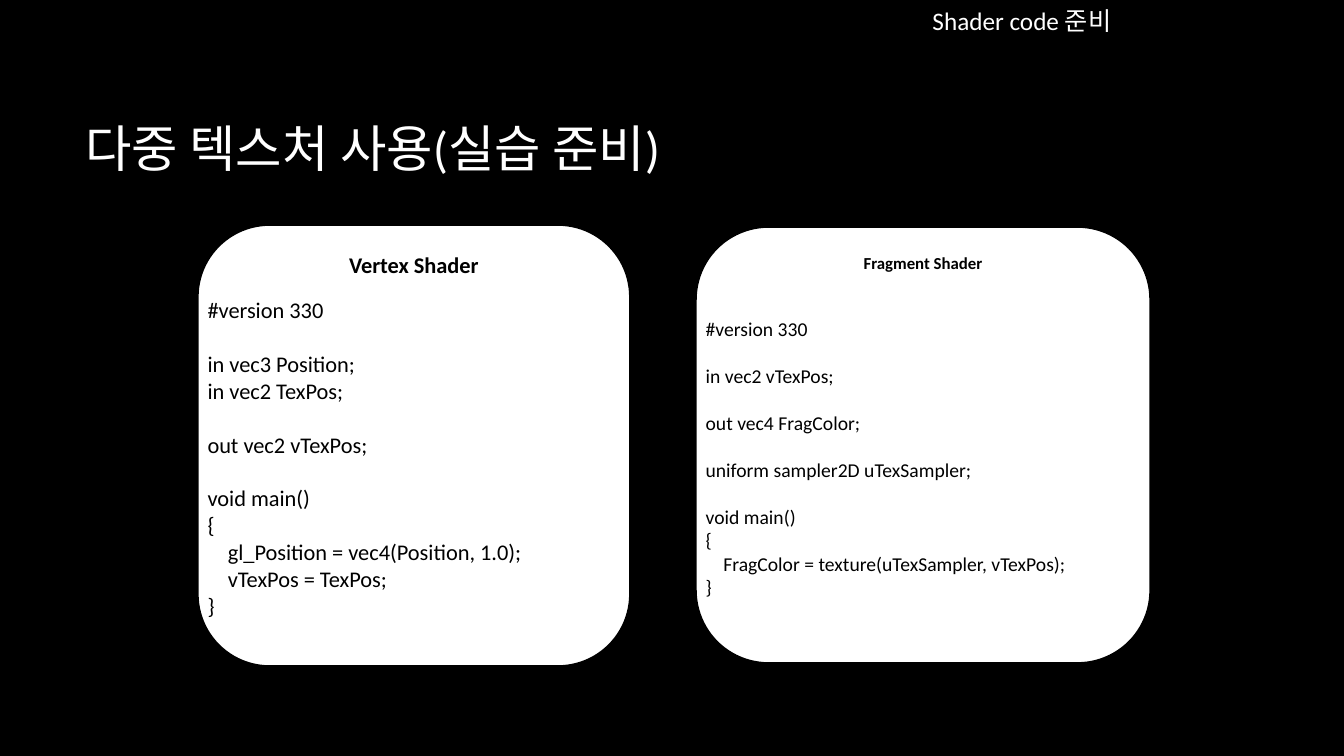
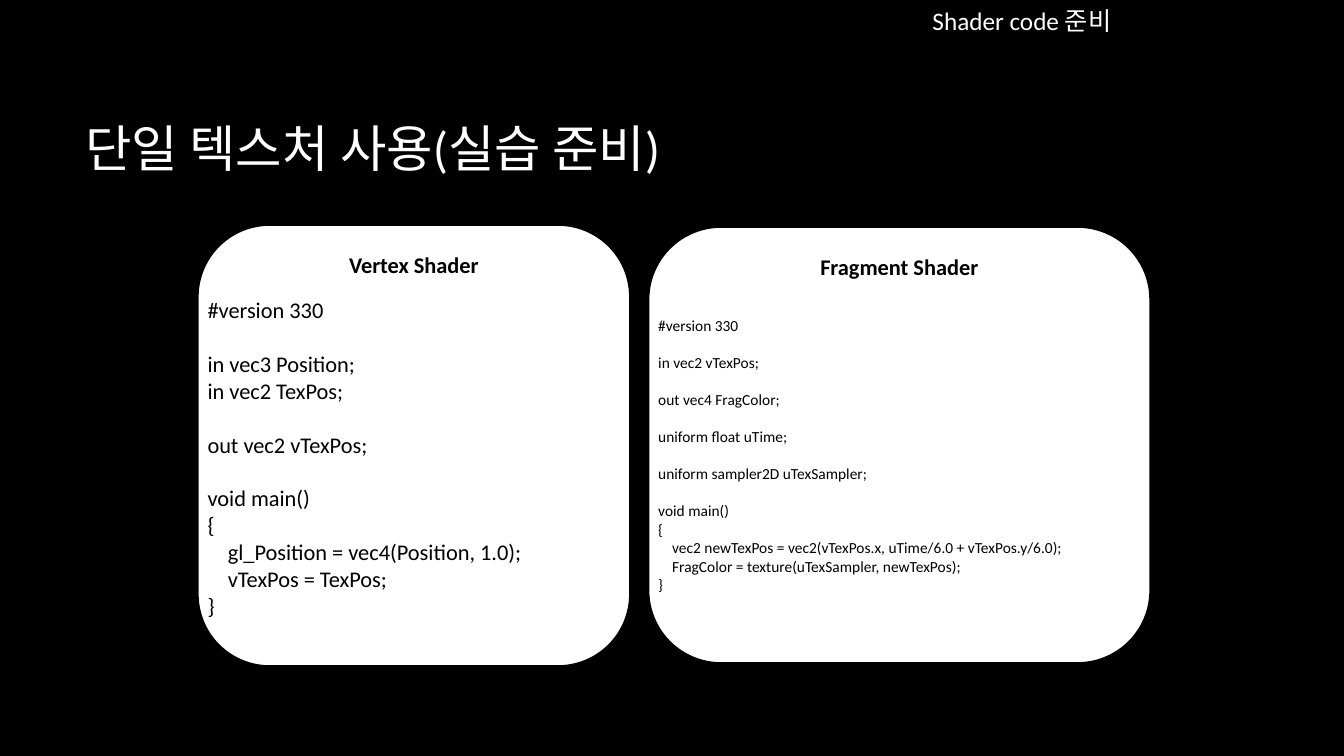
from pptx import Presentation
from pptx.dml.color import RGBColor
from pptx.enum.shapes import MSO_SHAPE as SHAPE
from pptx.enum.text import MSO_ANCHOR as ANCHOR, PP_ALIGN as ALIGN
from pptx.util import Inches, Pt

COLORS = {"back": "000000", "card": "FFFFFF", "ink": "000000", "light": "FFFFFF"}
FONT = "Calibri"
LINE = 1.2     # height of a line, in font sizes
SPACE = 0.226  # width of one leading space, in font sizes

FORMATS = {
    "title": {"size": 36, "color": "light"},
    "topic": {"size": 18, "color": "light"},
    "heading": {"size": 16, "color": "ink", "bold": True},
    "code": {"size": 16, "color": "ink"},
}

# Boxes: left, top, width, height in inches
TITLE_BOX = (0.75, 0.67, 11.08, 1.59)
TOPIC_BOX = (9.15, 0, 2.52, 0.4)
VERTEX_BOX = (1.96, 2.23, 4.29, 4.38)
FRAGMENT_TOP, FRAGMENT_RIGHT, FRAGMENT_HEIGHT = 2.25, 11.41, 4.33

VERTEX_CODE = """#version 330

in vec3 Position;
in vec2 TexPos;

out vec2 vTexPos;

void main()
{
    gl_Position = vec4(Position, 1.0);
    vTexPos = TexPos;
}"""

SAMPLER_CODE = """#version 330

in vec2 vTexPos;

out vec4 FragColor;

uniform sampler2D uTexSampler;

void main()
{
    FragColor = texture(uTexSampler, vTexPos);
}"""

SCROLL_CODE = """#version 330

in vec2 vTexPos;

out vec4 FragColor;

uniform float uTime;

uniform sampler2D uTexSampler;

void main()
{
    vec2 newTexPos = vec2(vTexPos.x, uTime/6.0 + vTexPos.y/6.0);
    FragColor = texture(uTexSampler, newTexPos);
}"""

SLIDES = [
    {"title": "다중 텍스처 사용(실습 준비)", "code": SAMPLER_CODE,
     "width": 4.51, "heading_size": 12, "code_size": 14},
    {"title": "단일 텍스처 사용(실습 준비)", "code": SCROLL_CODE,
     "width": 4.98, "heading_size": 16, "code_size": 11},
]


def rgb(name):
    return RGBColor.from_string(COLORS[name])


def write(p, text, style, **changes):
    """Add a run in a named format, with optional changes to it."""
    r = p.add_run()
    r.text = text
    values = {"name": FONT, **FORMATS[style], **changes}
    r.font.color.rgb = rgb(values.pop("color"))
    values["size"] = Pt(values["size"])
    for key, value in values.items():
        setattr(r.font, key, value)


def add_text(s, box, anchor=ANCHOR.TOP):
    tf = s.shapes.add_textbox(*map(Inches, box)).text_frame
    tf.word_wrap = True
    tf.vertical_anchor = anchor
    return tf


def add_code(s, box, code, size):
    """Blank lines become space before; leading spaces become a margin."""
    tf = add_text(s, box)
    p, gap = tf.paragraphs[0], 0
    for i, line in enumerate(code.splitlines()):
        if not line:
            gap += 1
            continue
        if i:
            p = tf.add_paragraph()
        text = line.lstrip()
        p.space_before = Pt(round(gap * size * LINE, 1))
        indent = (len(line) - len(text)) * SPACE * size
        p._p.get_or_add_pPr().set("marL", str(int(Pt(indent))))
        write(p, text, "code", size=size)
        gap = 0


def add_card(s, box, heading, code, heading_size, code_size, code_offset):
    """A rounded card with a heading and a shader listing."""
    x, y, w, h = box
    sp = s.shapes.add_shape(SHAPE.ROUNDED_RECTANGLE, *map(Inches, box))
    sp.shadow.inherit = False
    sp.fill.solid()
    sp.fill.fore_color.rgb = rgb("card")
    sp.line.color.rgb = rgb("back")
    sp.line.width = Pt(1.5)
    sp.text_frame.vertical_anchor = ANCHOR.TOP
    p = sp.text_frame.paragraphs[0]
    p.alignment = ALIGN.CENTER
    write(p, heading, "heading", size=heading_size)
    add_code(s, (x, y + code_offset, w, h - code_offset), code, code_size)


def add_header(s, title):
    tf = add_text(s, TITLE_BOX, ANCHOR.MIDDLE)
    write(tf.paragraphs[0], title, "title")
    tf = add_text(s, TOPIC_BOX)
    write(tf.paragraphs[0], "Shader code 준비", "topic")


def add_shader_slide(prs, content):
    s = prs.slides.add_slide(prs.slide_layouts[6])
    s.background.fill.solid()
    s.background.fill.fore_color.rgb = rgb("back")
    add_header(s, content["title"])
    add_card(s, VERTEX_BOX, "Vertex Shader", VERTEX_CODE, 16, 16, 0.66)
    w = content["width"]
    box = (FRAGMENT_RIGHT - w, FRAGMENT_TOP, w, FRAGMENT_HEIGHT)
    add_card(s, box, "Fragment Shader", content["code"],
             content["heading_size"], content["code_size"], 0.84)


def main():
    prs = Presentation()
    prs.slide_width, prs.slide_height = Inches(13.33), Inches(7.5)
    for content in SLIDES:
        add_shader_slide(prs, content)
    prs.save("out.pptx")


if __name__ == "__main__":
    main()
